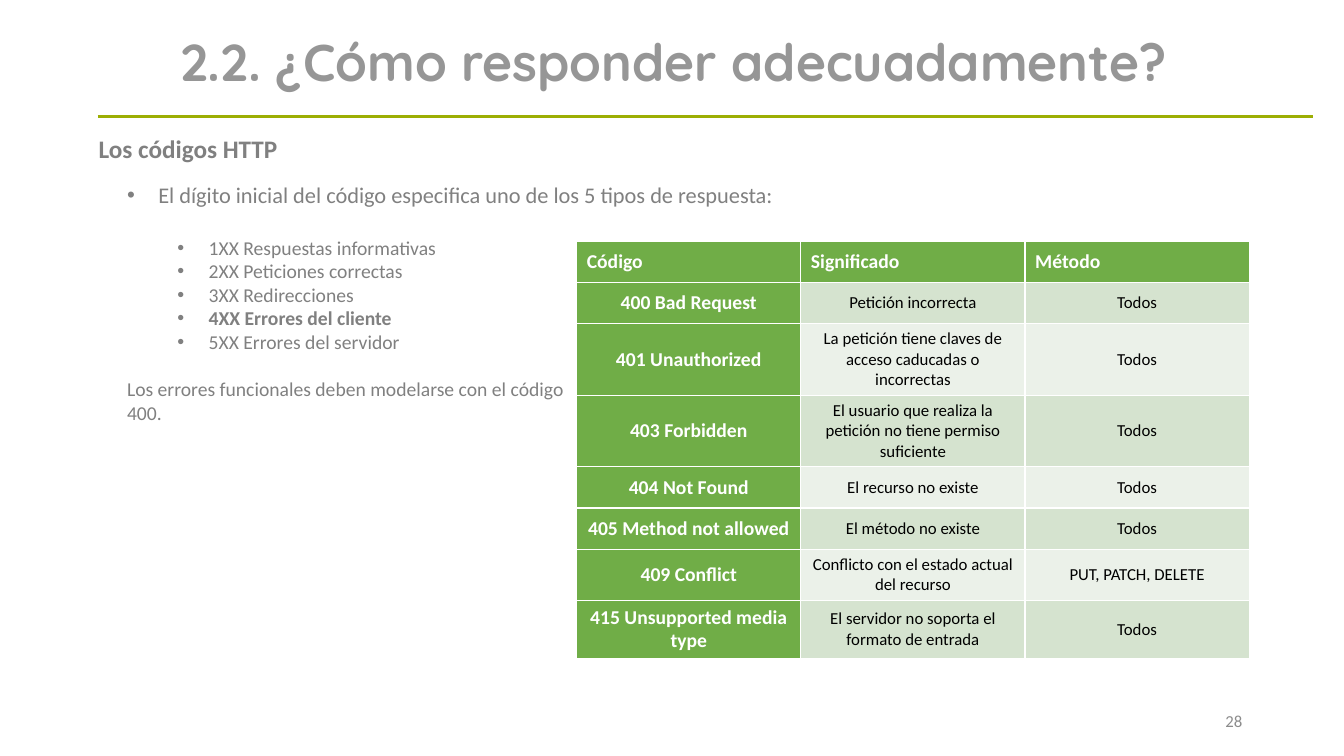
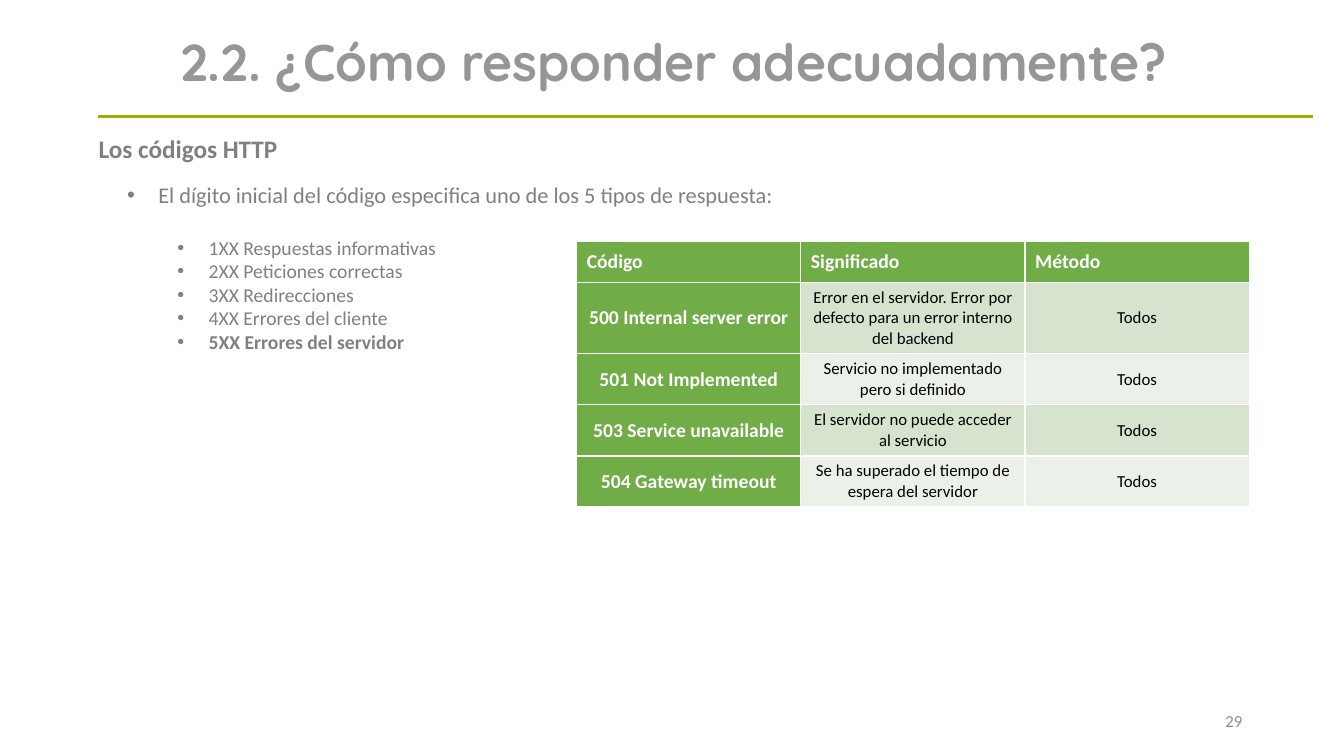
"""Build two slides on HTTP client and server error codes."""
from dataclasses import dataclass

from lxml.etree import SubElement
from pptx import Presentation
from pptx.dml.color import RGBColor
from pptx.enum.shapes import MSO_CONNECTOR
from pptx.enum.text import MSO_ANCHOR as ANCHOR, MSO_AUTO_SIZE, PP_ALIGN as ALIGN
from pptx.oxml.ns import qn
from pptx.util import Inches, Pt


@dataclass(frozen=True)
class Theme:
    title_font: str = "Quicksand"
    text_font: str = "Calibri"
    title: str = "969696"
    text: str = "808080"
    number: str = "8C8C8C"
    rule: str = "9CAE04"
    header: str = "70AD47"
    bands: tuple = ("D5E3CF", "EBF1E9")
    white: str = "FFFFFF"
    black: str = "000000"
    title_size: float = 37
    heading_size: float = 18
    lead_size: float = 16
    item_size: float = 14
    small_size: float = 12
    rule_width: float = 2.25


THEME = Theme()
TITLE = "2.2. ¿Cómo responder adecuadamente?"
HEADING = "Los códigos HTTP"
LEAD = "El dígito inicial del código especifica uno de los 5 tipos de respuesta:"
TYPES = [
    "1XX Respuestas informativas",
    "2XX Peticiones correctas",
    "3XX Redirecciones",
    "4XX Errores del cliente",
    "5XX Errores del servidor",
]
COLUMNS = ("Código", "Significado", "Método")
CLIENT_NOTE = ["Los errores funcionales deben modelarse con el código", "400."]
CLIENT_ERRORS = [
    ("400 Bad Request", "Petición incorrecta", "Todos"),
    ("401 Unauthorized", "La petición tiene claves de acceso caducadas o incorrectas", "Todos"),
    ("403 Forbidden", "El usuario que realiza la petición no tiene permiso suficiente", "Todos"),
    ("404 Not Found", "El recurso no existe", "Todos"),
    ("405 Method not allowed", "El método no existe", "Todos"),
    ("409 Conflict", "Conflicto con el estado actual del recurso", "PUT, PATCH, DELETE"),
    ("415 Unsupported media type", "El servidor no soporta el formato de entrada", "Todos"),
]
SERVER_ERRORS = [
    ("500 Internal server error",
     "Error en el servidor. Error por defecto para un error interno del backend", "Todos"),
    ("501 Not Implemented", "Servicio no implementado pero si definido", "Todos"),
    ("503 Service unavailable", "El servidor no puede acceder al servicio", "Todos"),
    ("504 Gateway timeout", "Se ha superado el tiempo de espera del servidor", "Todos"),
]


def rgb(value):
    return RGBColor.from_string(value)


def add_run(p, text, size, color, bold=False, font=THEME.text_font):
    r = p.add_run()
    r.text = text
    r.font.name, r.font.size, r.font.bold = font, Pt(size), bold
    r.font.color.rgb = rgb(color)


def place(sp, left, top, width, height):
    sp.left, sp.top, sp.width, sp.height = map(Inches, (left, top, width, height))


def set_frame(tf, anchor):
    tf.word_wrap = True
    tf.auto_size = MSO_AUTO_SIZE.NONE
    tf.vertical_anchor = anchor
    return tf


def add_label(slide, box, text, size, color, align, anchor, bold=False, spacing=1.0):
    sp = slide.shapes.add_textbox(*map(Inches, box))
    p = set_frame(sp.text_frame, anchor).paragraphs[0]
    p.alignment, p.line_spacing = align, spacing
    add_run(p, text, size, color, bold)


def set_title(slide, text):
    sp = slide.shapes.title
    place(sp, 0.97, 0.22, 11.42, 0.84)
    p = set_frame(sp.text_frame, ANCHOR.MIDDLE).paragraphs[0]
    p.alignment, p.line_spacing = ALIGN.CENTER, 0.9
    add_run(p, text, THEME.title_size, THEME.title, True, THEME.title_font)


def add_rule(slide):
    y = Inches(1.16)
    line = slide.shapes.add_connector(MSO_CONNECTOR.STRAIGHT, Inches(0.97), y, Inches(13.02), y)
    line.line.color.rgb = rgb(THEME.rule)
    line.line.width = Pt(THEME.rule_width)
    SubElement(line._element.spPr, qn("a:effectLst"))


def set_bullet(p, margin=0.0, hanging=0.0):
    pPr = p._p.get_or_add_pPr()
    pPr.set("marL", str(Inches(margin)))
    pPr.set("indent", str(-Inches(hanging)))
    if hanging:
        SubElement(pPr, qn("a:buFont"), typeface="Arial")
        SubElement(pPr, qn("a:buChar"), char="•")
    else:
        SubElement(pPr, qn("a:buNone"))


def set_body(slide, current, note):
    sp = slide.placeholders[1]
    place(sp, 1.16, 1.75, 11.13, 2.79 if note else 2.12)
    tf = set_frame(sp.text_frame, ANCHOR.TOP)

    def add_line(p, text, size, level=0, margin=0.0, hanging=0.0, before=0.0, bold=False):
        p.level = level
        set_bullet(p, margin, hanging)
        p.space_before = Pt(before)
        add_run(p, text, size, THEME.text, bold)

    add_line(tf.paragraphs[0], LEAD, THEME.lead_size, margin=0.31, hanging=0.31)
    for i, text in enumerate(TYPES):
        add_line(tf.add_paragraph(), text, THEME.item_size, 1, 0.81, 0.31,
                 before=0 if i else 19.5, bold=i == current)
    for i, text in enumerate(note):
        add_line(tf.add_paragraph(), text, THEME.item_size, before=0 if i else 17)


def set_cell(cell, text, fill, size, color, bold, align):
    cell.fill.solid()
    cell.fill.fore_color.rgb = rgb(fill)
    cell.vertical_anchor = ANCHOR.MIDDLE
    p = cell.text_frame.paragraphs[0]
    p.alignment = align
    add_run(p, text, size, color, bold)


def add_codes_table(slide, codes):
    rows = [COLUMNS, *codes]
    row_height = Inches(0.41)
    table = slide.shapes.add_table(len(rows), len(COLUMNS), Inches(5.72), Inches(2.39),
                                   Inches(6.67), row_height * len(rows)).table
    for i, row in enumerate(rows):
        table.rows[i].height = row_height
        for j, text in enumerate(row):
            if i == 0 or j == 0:
                style = THEME.header, THEME.item_size, THEME.white, True
            else:
                style = THEME.bands[(i - 1) % 2], THEME.small_size, THEME.black, False
            set_cell(table.cell(i, j), text, *style, ALIGN.CENTER if i else ALIGN.LEFT)


def add_codes_slide(prs, number, current, codes, note=()):
    slide = prs.slides.add_slide(prs.slide_layouts[1])
    set_title(slide, TITLE)
    add_rule(slide)
    add_label(slide, (0.88, 1.12, 12.05, 0.51), HEADING, THEME.heading_size, THEME.text,
              ALIGN.JUSTIFY, ANCHOR.TOP, bold=True, spacing=1.5)
    set_body(slide, current, note)
    add_codes_table(slide, codes)
    add_label(slide, (9.42, 6.95, 3, 0.4), str(number), THEME.small_size, THEME.number,
              ALIGN.RIGHT, ANCHOR.MIDDLE)


def main():
    prs = Presentation()
    prs.slide_width, prs.slide_height = Inches(13.33), Inches(7.5)
    add_codes_slide(prs, 28, 3, CLIENT_ERRORS, CLIENT_NOTE)
    add_codes_slide(prs, 29, 4, SERVER_ERRORS)
    prs.save("out.pptx")


if __name__ == "__main__":
    main()
